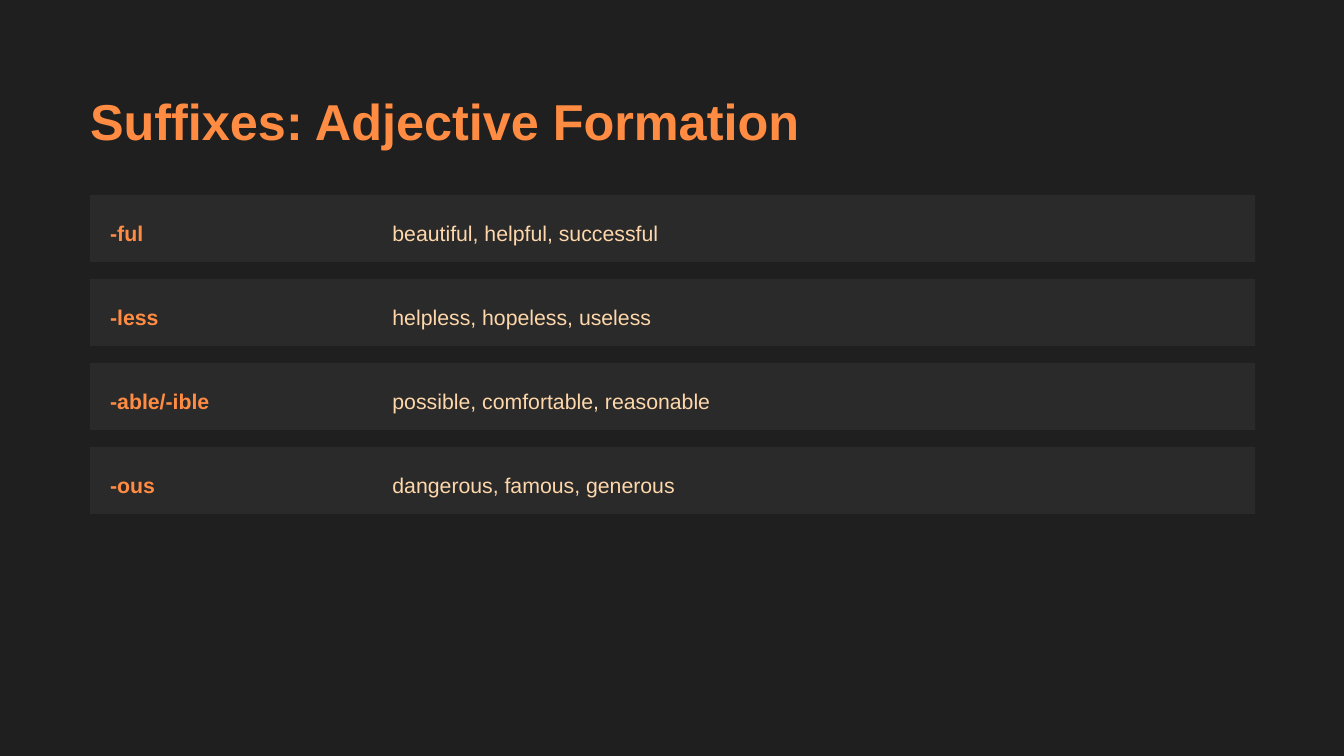
from pptx import Presentation
from pptx.dml.color import RGBColor
from pptx.enum.shapes import MSO_SHAPE
from pptx.enum.text import MSO_ANCHOR, MSO_AUTO_SIZE, PP_ALIGN
from pptx.util import Inches, Pt

ORANGE, PEACH, PANEL, DARK = "FF8C42", "FED7AA", "2A2A2A", "1F1F1F"
LEFT, TOP, WIDTH, HEIGHT = 0.67, 1.45, 8.67, 0.5
STEP, PAD = HEIGHT * 5 / 4, HEIGHT / 4
ROWS = [
    ("-ful", "beautiful, helpful, successful"),
    ("-less", "helpless, hopeless, useless"),
    ("-able/-ible", "possible, comfortable, reasonable"),
    ("-ous", "dangerous, famous, generous"),
]


def paint(fill, color):
    """Make a fill solid in a hex colour."""
    fill.solid()
    fill.fore_color.rgb = RGBColor.from_string(color)


def write(shape, text, size, lead, color, bold=False):
    """Put one styled line of text in a shape without insets."""
    frame = shape.text_frame
    frame.word_wrap = True
    frame.auto_size = MSO_AUTO_SIZE.NONE
    frame.vertical_anchor = MSO_ANCHOR.TOP
    frame.margin_left = frame.margin_right = 0
    frame.margin_top = frame.margin_bottom = 0
    line = frame.paragraphs[0]
    line.alignment = PP_ALIGN.LEFT
    line.line_spacing = Pt(lead)
    line.space_before = Pt(0)
    run = line.add_run()
    run.text = text
    font = run.font
    font.name, font.size, font.bold = "Arial", Pt(size), bold
    paint(font.fill, color)


def add_title(slide, text):
    """Place and style the title placeholder."""
    title = slide.shapes.title
    title.left, title.top = Inches(LEFT), Inches(0.67)
    title.width, title.height = Inches(8.84), Inches(0.45)
    write(title, text, 27, 32.4, ORANGE, True)


def add_panel(slide, top):
    """Draw the plain band behind a row."""
    panel = slide.shapes.add_shape(
        MSO_SHAPE.RECTANGLE, Inches(LEFT), Inches(top), Inches(WIDTH), Inches(HEIGHT))
    panel.shadow.inherit = False
    paint(panel.fill, PANEL)
    panel.line.fill.background()


def add_label(slide, left, top, width, text, color, bold=False):
    """Add one text cell of a row."""
    box = slide.shapes.add_textbox(
        Inches(left), Inches(top), Inches(width), Inches(0.25))
    write(box, text, 11.4, 18.2, color, bold)


def add_row(slide, top, suffix, words):
    """Add a band with a suffix and its sample words."""
    add_panel(slide, top)
    add_label(slide, 0.82, top + PAD, 2.14, suffix, ORANGE, True)
    add_label(slide, 2.92, top + PAD, 6.41, words, PEACH)


def main():
    """Build and save the slide."""
    deck = Presentation()
    deck.slide_width = Inches(10)
    deck.slide_height = deck.slide_width * 9 // 16
    slide = deck.slides.add_slide(deck.slide_layouts[5])
    paint(slide.background.fill, DARK)
    add_title(slide, "Suffixes: Adjective Formation")
    for index, (suffix, words) in enumerate(ROWS):
        add_row(slide, TOP + index * STEP, suffix, words)
    deck.save("out.pptx")


if __name__ == "__main__":
    main()
